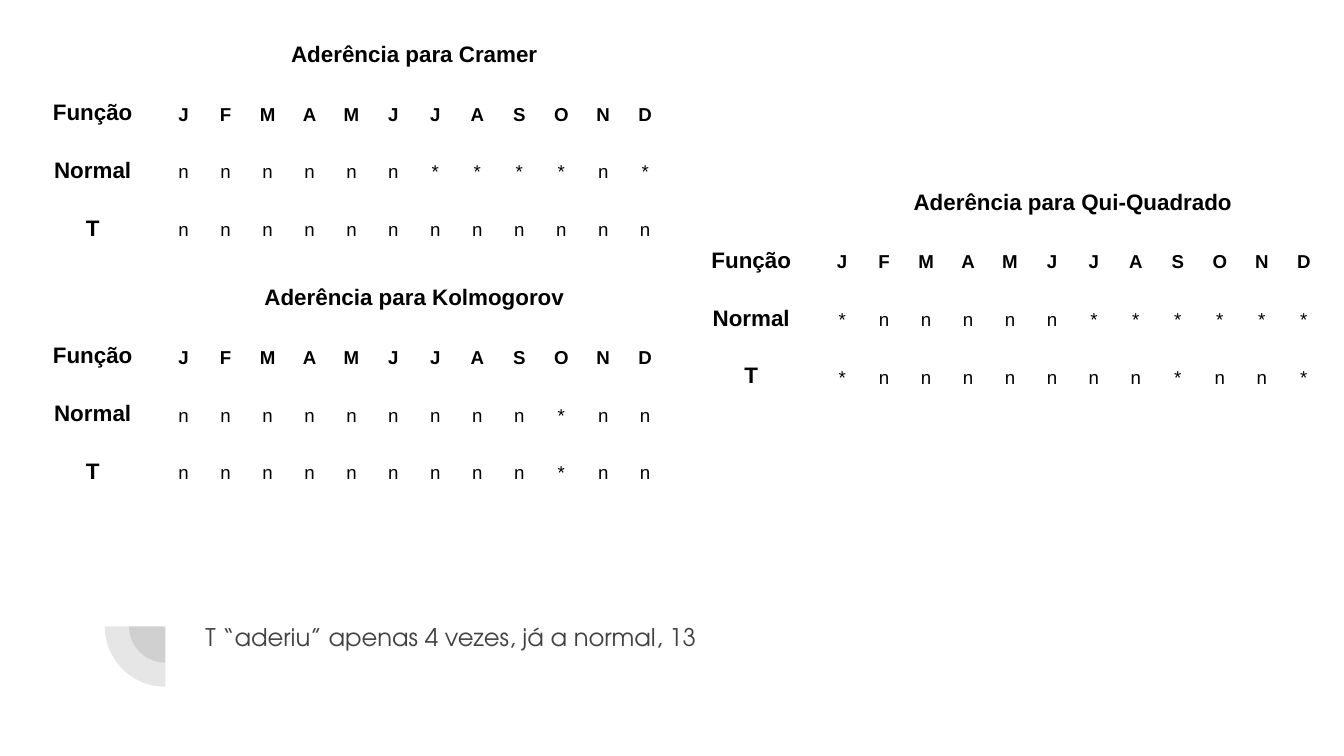
from lxml import etree
from pptx import Presentation
from pptx.dml.color import RGBColor
from pptx.enum import shapes, text
from pptx.oxml import ns
from pptx.util import Inches, Pt

BLACK = RGBColor(0x00, 0x00, 0x00)
GRAY = RGBColor(0x42, 0x42, 0x42)

MONTHS = "JFMAMJJASOND"
ROW_HEIGHT = 0.22  # rows grow to fit their text
LABEL_WIDTH, MONTH_WIDTH = 1.04, 3.75 / 12
FRAME_SIZE = 3.28
NO_STYLE = "{2D5ABB26-0587-4C30-8999-92F81FD0307C}"

# test name, left, top, results by month for Normal and T
TESTS = [
    ("Cramer", 0.17, 0.17, "nnnnnn****n*", "nnnnnnnnnnnn"),
    ("Kolmogorov", 0.17, 1.98, "nnnnnnnnn*nn", "nnnnnnnnn*nn"),
    ("Qui-Quadrado", 5.07, 1.27, "*nnnnn******", "*nnnnnnn*nn*"),
]

CELL_FORMAT = {
    "vertical_anchor": text.MSO_ANCHOR.BOTTOM,
    "margin_left": Inches(0.03),
    "margin_right": Inches(0.03),
    "margin_top": Inches(0.1),
    "margin_bottom": Inches(0.1),
}


def write(paragraph, words, font_name, size, color, bold=False):
    run = paragraph.add_run()
    run.text = words
    for attribute, value in {"name": font_name, "size": Pt(size), "bold": bold}.items():
        setattr(run.font, attribute, value)
    run.font.color.rgb = color


prs = Presentation()
prs.slide_width = Inches(10)
prs.slide_height = Inches(10 * 9 / 16)
slide = prs.slides.add_slide(prs.slide_layouts[6])

# Two translucent quarter circles around one centre
for left, top, diameter in [(0.96, 4.39, 0.54), (0.78, 4.21, 0.9)]:
    quarter = slide.shapes.add_shape(
        shapes.MSO_SHAPE.PIE, Inches(left), Inches(top), Inches(diameter), Inches(diameter))
    quarter.adjustments[0], quarter.adjustments[1] = 107.93, 162
    quarter.rotation = 270
    quarter.shadow.inherit = False
    quarter.line.fill.background()
    quarter.fill.solid()
    quarter.fill.fore_color.rgb = GRAY
    color = quarter.fill._xPr.find(".//" + ns.qn("a:srgbClr"))
    etree.SubElement(color, ns.qn("a:alpha"), val="13000")

conclusion = slide.shapes.add_textbox(
    Inches(1.43), Inches(4.53), Inches(6.39), Inches(0.58)).text_frame
conclusion.word_wrap = True
for side in ("left", "right", "top", "bottom"):
    setattr(conclusion, f"margin_{side}", Inches(0.1))
write(conclusion.paragraphs[0], "T “aderiu” apenas 4 vezes, já a normal, 13",
      "TeX Gyre Adventor", 13, GRAY)

for test, left, top, normal, t in TESTS:
    rows = [
        ["Função", f"Aderência para {test}"] + [""] * 11,
        ["", *MONTHS],
        ["Normal", *normal],
        ["T", *t],
    ]
    frame = slide.shapes.add_table(
        len(rows), 13, Inches(left), Inches(top), Inches(FRAME_SIZE), Inches(FRAME_SIZE))
    table = frame.table
    table.first_row = table.horz_banding = False
    table._tbl.tblPr.find(ns.qn("a:tableStyleId")).text = NO_STYLE
    for i, column in enumerate(table.columns):
        column.width = Inches(MONTH_WIDTH if i else LABEL_WIDTH)
    for row in table.rows:
        row.height = Inches(ROW_HEIGHT)
    # Resizing rows and columns also resizes the frame
    frame.width = frame.height = Inches(FRAME_SIZE)
    table.cell(0, 0).merge(table.cell(1, 0))
    table.cell(0, 1).merge(table.cell(0, 12))

    for r, values in enumerate(rows):
        for c, value in enumerate(values):
            cell = table.cell(r, c)
            cell.fill.background()
            if cell.is_spanned:
                continue
            for attribute, setting in CELL_FORMAT.items():
                setattr(cell, attribute, setting)
            paragraph = cell.text_frame.paragraphs[0]
            paragraph.alignment = text.PP_ALIGN.CENTER
            paragraph.line_spacing = 1.15
            heading = r == 0 or c == 0
            write(paragraph, value, "Arial", 12 if heading else 10, BLACK,
                  bold=heading or r == 1)

prs.save("out.pptx")
